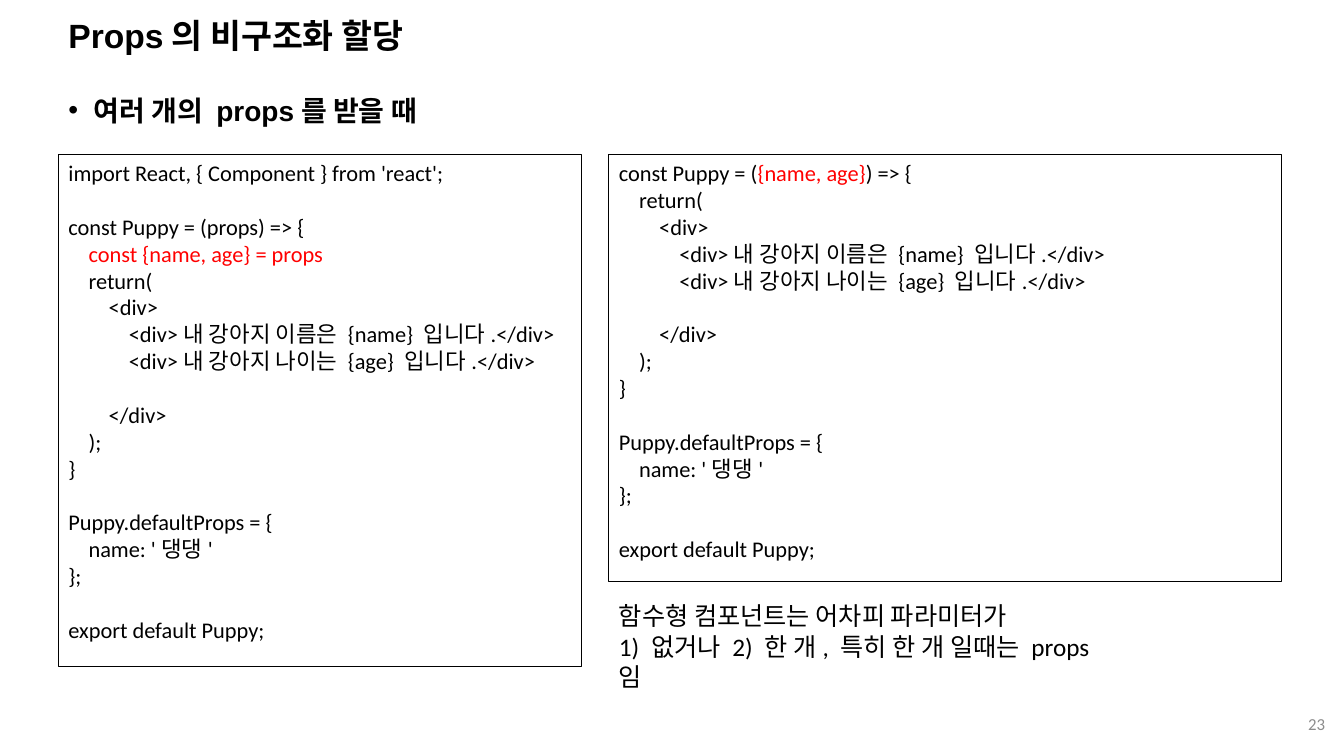
from dataclasses import dataclass

from lxml.etree import SubElement
from pptx import Presentation
from pptx.dml.color import RGBColor
from pptx.enum.shapes import MSO_SHAPE
from pptx.enum.text import MSO_ANCHOR, PP_ALIGN
from pptx.oxml.ns import qn
from pptx.util import Inches, Pt

BLACK = RGBColor(0x00, 0x00, 0x00)
RED = RGBColor(0xFF, 0x00, 0x00)
GRAY = RGBColor(0x8C, 0x8C, 0x8C)

SLIDE_WIDTH = Inches(13.33)
SLIDE_HEIGHT = Inches(7.5)
INDENT_SPACES = 4
INDENT_STEP = Inches(0.2)
CODE_LINE = Pt(19.2)


@dataclass(frozen=True)
class Area:
    """A place on the slide, in percent of its width and height."""
    left: float
    top: float
    width: float
    height: float

    def box(self) -> tuple[int, int, int, int]:
        return (int(SLIDE_WIDTH * self.left / 100), int(SLIDE_HEIGHT * self.top / 100),
                int(SLIDE_WIDTH * self.width / 100), int(SLIDE_HEIGHT * self.height / 100))


@dataclass(frozen=True)
class CodePanel:
    area: Area
    code: str
    highlight: str


LEFT_MARGIN = 4.35
RIGHT_COLUMN = 45.31
PANEL_TOP = 20.4

TITLE_AREA = Area(LEFT_MARGIN, 2.4, 86.27, 5.07)
TOPIC_AREA = Area(LEFT_MARGIN, 9.47, 92.95, 85.87)
NOTE_AREA = Area(RIGHT_COLUMN, 78.8, 37.96, 9.47)
NUMBER_AREA = Area(76.82, 93.07, 22.51, 5.33)

PANELS = [
    CodePanel(Area(LEFT_MARGIN, PANEL_TOP, 38.93, 67.73), """\
import React, { Component } from 'react';

const Puppy = (props) => {
    const {name, age} = props
    return(
        <div>
            <div>내 강아지 이름은 {name} 입니다.</div>
            <div>내 강아지 나이는 {age} 입니다.</div>

        </div>
    );
}

Puppy.defaultProps = {
    name: '댕댕'
};

export default Puppy;""", "const {name, age} = props"),
    CodePanel(Area(RIGHT_COLUMN, PANEL_TOP, 50.04, 56.53), """\
const Puppy = ({name, age}) => {
    return(
        <div>
            <div>내 강아지 이름은 {name} 입니다.</div>
            <div>내 강아지 나이는 {age} 입니다.</div>

        </div>
    );
}

Puppy.defaultProps = {
    name: '댕댕'
};

export default Puppy;""", "{name, age}"),
]

NOTE_LINES = [
    "함수형 컴포넌트는 어차피 파라미터가",
    "1) 없거나 2) 한 개, 특히 한 개 일때는 props임",
]


def write(frame, text: str, *, size: float, font: str = "Calibri", color: RGBColor = BLACK,
          bold: bool = False, align: PP_ALIGN = PP_ALIGN.LEFT, line_spacing: float = 1.0,
          space_before: int = 0, indent: int = 0, hanging: int = 0, bullet: str = "",
          highlight: str = "") -> None:
    """Add a paragraph to the frame, with the highlighted part of its text in red."""
    first = frame.paragraphs[0]
    paragraph = frame.add_paragraph() if first.runs else first
    paragraph.alignment = align
    paragraph.line_spacing = line_spacing
    paragraph.space_before = space_before
    properties = paragraph._p.get_or_add_pPr()
    properties.set("marL", str(indent))
    properties.set("indent", str(-hanging))
    if bullet:
        SubElement(properties, qn("a:buFont")).set("typeface", font)
        SubElement(properties, qn("a:buChar")).set("char", bullet)

    before, marked, after = text.partition(highlight) if highlight else (text, "", "")
    for part, part_color in ((before, color), (marked, RED), (after, color)):
        if part:
            run = paragraph.add_run()
            run.text = part
            run.font.name = font
            run.font.size = Pt(size)
            run.font.bold = bold
            run.font.color.rgb = part_color


def add_text_frame(slide, area: Area, anchor: MSO_ANCHOR = MSO_ANCHOR.TOP):
    frame = slide.shapes.add_textbox(*area.box()).text_frame
    frame.word_wrap = True
    frame.vertical_anchor = anchor
    return frame


def add_code_panel(slide, panel: CodePanel) -> None:
    """Draw a framed listing; leading spaces become indents and empty lines become spacing."""
    outline = slide.shapes.add_shape(MSO_SHAPE.RECTANGLE, *panel.area.box())
    outline.shadow.inherit = False
    outline.fill.background()
    outline.line.color.rgb = BLACK
    outline.line.width = Pt(0.75)
    frame = outline.text_frame
    frame.word_wrap = True
    frame.vertical_anchor = MSO_ANCHOR.TOP
    gap = 0
    for line in panel.code.splitlines():
        statement = line.lstrip()
        if not statement:
            gap = CODE_LINE
            continue
        level = (len(line) - len(statement)) // INDENT_SPACES
        write(frame, statement, size=16, indent=level * INDENT_STEP,
              space_before=gap, highlight=panel.highlight)
        gap = 0


def main() -> None:
    presentation = Presentation()
    presentation.slide_width = SLIDE_WIDTH
    presentation.slide_height = SLIDE_HEIGHT
    slide = presentation.slides.add_slide(presentation.slide_layouts[6])

    write(add_text_frame(slide, TITLE_AREA, MSO_ANCHOR.MIDDLE), "Props의 비구조화 할당",
          size=24, font="Arial", bold=True, line_spacing=0.9)
    write(add_text_frame(slide, TOPIC_AREA), "여러 개의 props를 받을 때",
          size=20, font="Arial", bold=True, align=PP_ALIGN.JUSTIFY, line_spacing=1.5,
          space_before=Pt(10), indent=Inches(0.25), hanging=Inches(0.25), bullet="•")
    write(add_text_frame(slide, NUMBER_AREA, MSO_ANCHOR.MIDDLE), "23",
          size=12, color=GRAY, align=PP_ALIGN.RIGHT)
    for panel in PANELS:
        add_code_panel(slide, panel)
    note = add_text_frame(slide, NOTE_AREA)
    for line in NOTE_LINES:
        write(note, line, size=18)

    presentation.save("out.pptx")


if __name__ == "__main__":
    main()
